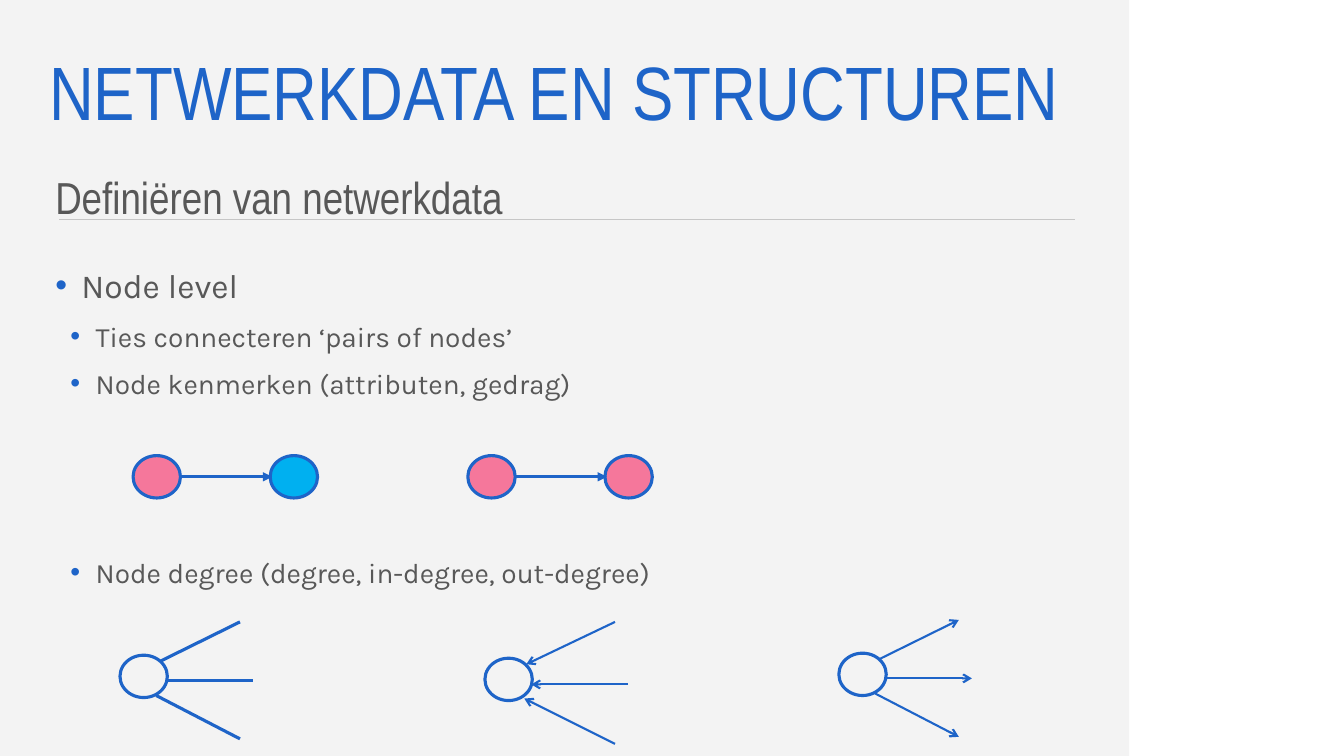
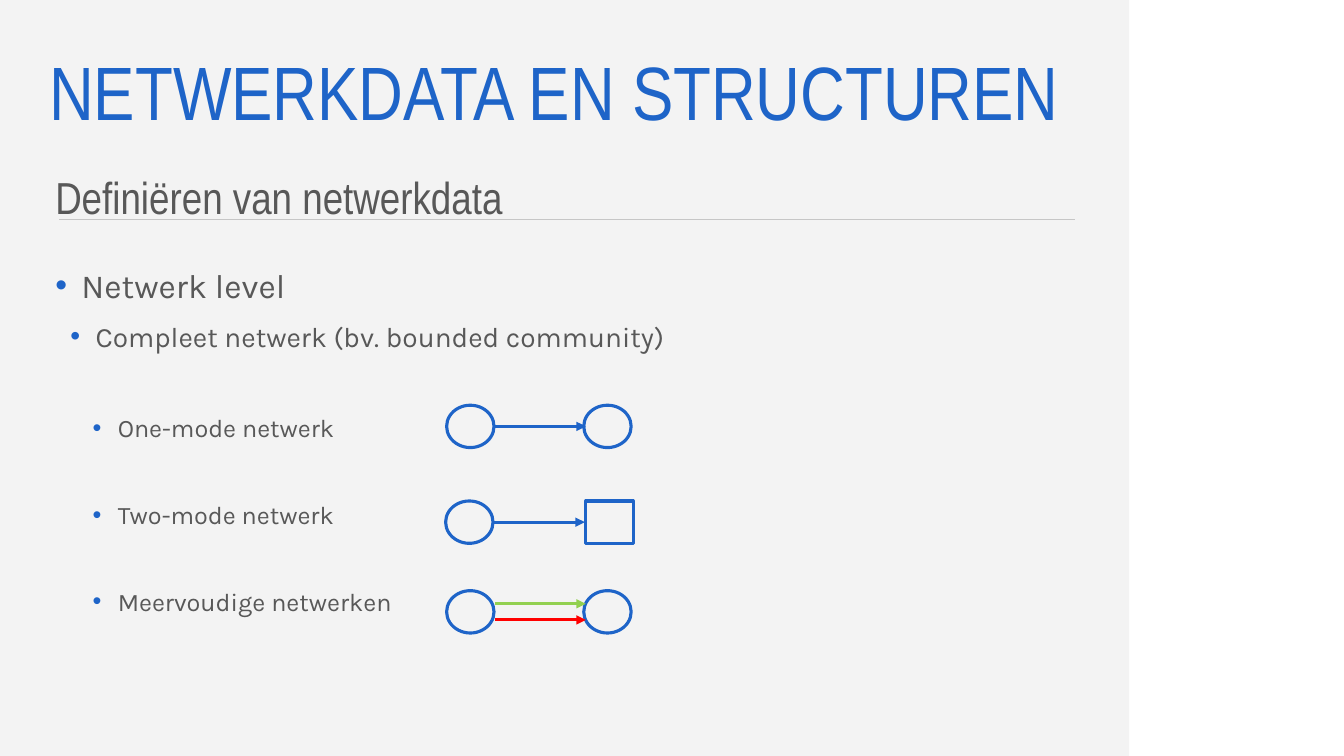
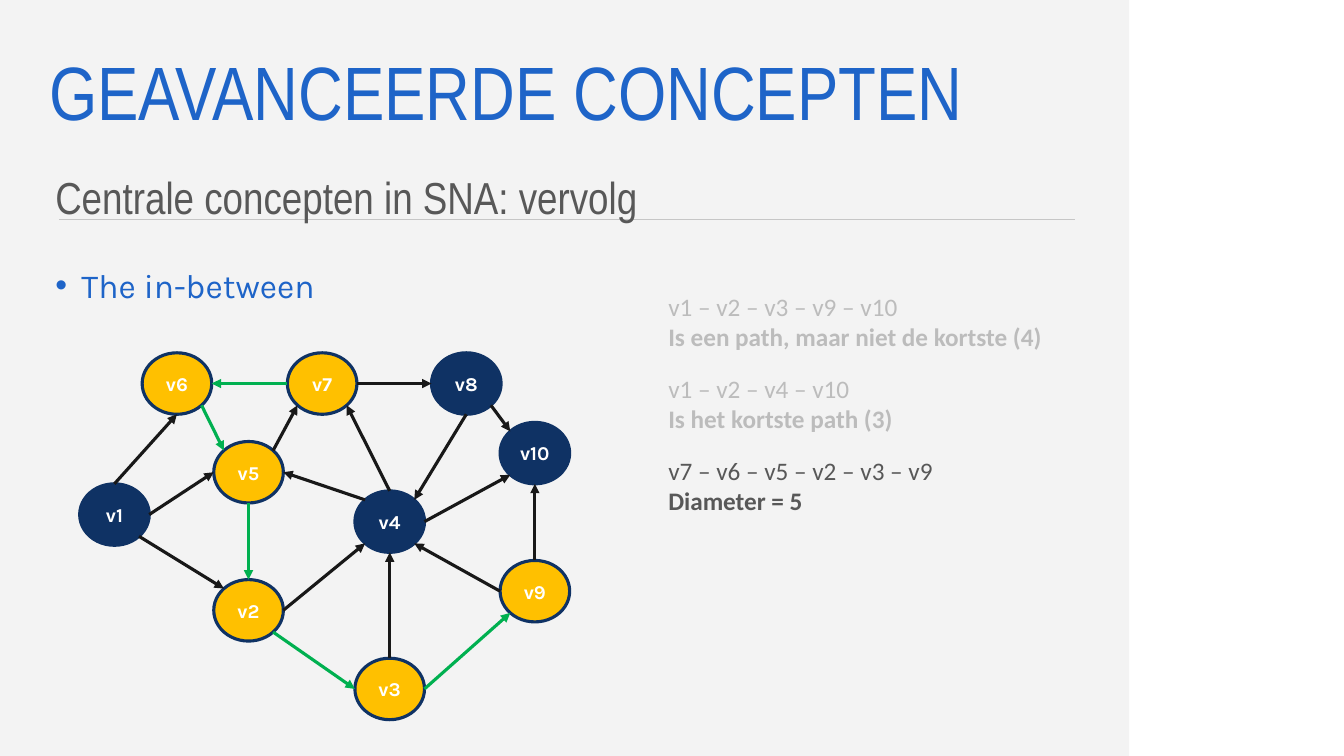
from lxml.etree import SubElement
from pptx import Presentation
from pptx.dml.color import RGBColor
from pptx.enum.shapes import MSO_CONNECTOR, MSO_SHAPE
from pptx.enum.text import MSO_ANCHOR, PP_ALIGN
from pptx.oxml.ns import qn
from pptx.util import Inches, Pt

COLORS = {
    "panel": "F3F3F3", "rule": "C6C6C6", "blue": "1E64C8", "text": "585858",
    "pale": "BCBCBC", "pink": "F5779B", "sky": "00B0F0", "lime": "92D050",
    "red": "FF0000", "gold": "FFC000", "navy": "0F3264", "ink": "181818",
    "green": "00B050", "white": "FFFFFF",
}
HEAD, BODY, NOTE = "Arial Narrow", "Karla", "Calibri"
LEVELS = [(0.26, 0.26, 24), (0.4, 0.25, 20), (0.62, 0.25, 18)]  # margin, hang, size
DOT_W, DOT_H = 0.47, 0.42
NODE_W, NODE_H = 0.69, 0.61
# Each spoke runs from the circle outwards, relative to the circle's corner
OUT = [((0.4, 0.06), (1.19, -0.33)), ((0.47, 0.25), (1.32, 0.25)),
       ((0.36, 0.4), (1.19, 0.83))]
IN = [((0.41, 0.06), (1.29, -0.36)), ((0.46, 0.26), (1.42, 0.26)),
      ((0.39, 0.4), (1.29, 0.85))]
DIAG = 0.5 ** 0.5
SITES = {"n": (0, -1), "s": (0, 1), "w": (-1, 0), "e": (1, 0),
         "nw": (-DIAG, -DIAG), "ne": (DIAG, -DIAG),
         "sw": (-DIAG, DIAG), "se": (DIAG, DIAG)}
NODES = {
    "v1": (0.79, 4.8, "navy"), "v2": (2.12, 5.75, "gold"),
    "v3": (3.52, 6.53, "gold"), "v4": (3.52, 4.87, "navy"),
    "v5": (2.12, 4.38, "gold"), "v6": (1.41, 3.5, "gold"),
    "v7": (2.85, 3.5, "gold"), "v8": (4.28, 3.5, "navy"),
    "v9": (4.96, 5.56, "gold"), "v10": (4.96, 4.19, "navy"),
}
EDGES = {
    "ink": ["v4 n v7 se", "v2 e v4 sw", "v3 n v4 s", "v8 s v4 ne",
            "v9 w v4 se", "v9 n v10 s", "v7 e v8 w", "v1 n v6 s",
            "v1 e v5 w", "v5 ne v7 sw", "v4 nw v5 e", "v1 se v2 nw",
            "v8 se v10 nw", "v4 e v10 sw"],
    "green": ["v2 se v3 w", "v3 e v9 sw", "v7 w v6 e", "v6 se v5 nw",
              "v5 s v2 n"],
}


def color(name):
    return RGBColor.from_string(COLORS[name])


def style(par, face, size, tint, bold=False):
    font = par.font
    font.name, font.size, font.bold = face, Pt(size), bold
    font.color.rgb = color(tint)


def frame(slide, x, y, w, h):
    text = slide.shapes.add_textbox(*map(Inches, (x, y, w, h))).text_frame
    text.word_wrap = True
    return text


def shape(slide, kind, x, y, w, h, fill=None, line=None):
    item = slide.shapes.add_shape(kind, *map(Inches, (x, y, w, h)))
    item.shadow.inherit = False
    if fill:
        item.fill.solid()
        item.fill.fore_color.rgb = color(fill)
    else:
        item.fill.background()
    if line:
        item.line.color.rgb = color(line)
        item.line.width = Pt(2.25)
    else:
        item.line.fill.background()
    return item


def link(slide, start, end, tint="blue", width=2.25, head="triangle"):
    line = slide.shapes.add_connector(
        MSO_CONNECTOR.STRAIGHT, *map(Inches, (*start, *end)))
    line.line.color.rgb = color(tint)
    line.line.width = Pt(width)
    if head:
        SubElement(line.line._get_or_add_ln(), qn("a:tailEnd"), type=head)
    SubElement(line._element.spPr, qn("a:effectLst"))


def base(deck, title, topic):
    """Add a slide with the shared panel, rule and headings."""
    slide = deck.slides.add_slide(deck.slide_layouts[6])
    shape(slide, MSO_SHAPE.RECTANGLE, 0, 0, 11.2, 7.5, "panel")
    link(slide, (0.59, 2.18), (10.66, 2.18), "rule", 0.5, None)
    text = frame(slide, 0.39, 0.36, 10.26, 1.19)
    text.vertical_anchor = MSO_ANCHOR.MIDDLE
    par = text.paragraphs[0]
    par.text, par.line_spacing = title, 0.9
    style(par, HEAD, 54, "blue")
    par = frame(slide, 0.45, 1.53, 10.2, 0.71).paragraphs[0]
    par.text, par.line_spacing = topic, 1.2
    style(par, HEAD, 32, "text")
    return slide


def bullets(slide, items, tint="text"):
    """Fill the body with (level, space before, text) items."""
    text = frame(slide, 0.45, 2.5, 10.2, 4.88)
    for i, (level, gap, words) in enumerate(items):
        par = text.add_paragraph() if i else text.paragraphs[0]
        par.text, par.level, par.line_spacing = words, level, 1.2
        par.space_before = Pt(gap)
        margin, hang, size = LEVELS[level]
        props = par._p.get_or_add_pPr()
        props.set("marL", str(Inches(margin)))
        props.set("indent", str(-Inches(hang)))
        tone = SubElement(props, qn("a:buClr"))
        SubElement(tone, qn("a:srgbClr"), val=COLORS["blue"])
        SubElement(props, qn("a:buFont"), typeface="Arial")
        SubElement(props, qn("a:buChar"), char="•")
        style(par, BODY, size, tint)


def dot(slide, x, y, fill=None, kind=MSO_SHAPE.OVAL):
    shape(slide, kind, x, y, DOT_W, DOT_H, fill, "blue")


def pair(slide, x, y, fills=(None, None), kind=MSO_SHAPE.OVAL, step=1.36,
         ties=((0.21, "blue"),)):
    """Draw two nodes joined by arrows, each tie a (drop, colour)."""
    dot(slide, x, y, fills[0])
    dot(slide, x + step, y, fills[1], kind)
    for drop, tint in ties:
        link(slide, (x + 0.48, y + drop), (x + 1.38, y + drop), tint)


def fan(slide, x, y, spokes, width, head=None, inward=False):
    dot(slide, x, y)
    for spoke in spokes:
        ends = [(x + dx, y + dy) for dx, dy in spoke]
        if inward:
            ends.reverse()
        link(slide, *ends, "blue", width, head)


def site(name, side):
    """Give the point on a node's rim at a compass side."""
    x, y, _ = NODES[name]
    dx, dy = SITES[side]
    return x + NODE_W / 2 * (1 + dx), y + NODE_H / 2 * (1 + dy)


def graph(slide):
    for name, (x, y, fill) in NODES.items():
        node = shape(slide, MSO_SHAPE.OVAL, x, y, NODE_W, NODE_H, fill, "navy")
        text = node.text_frame
        text.margin_left = text.margin_right = 0
        text.margin_top = text.margin_bottom = 0
        text.vertical_anchor = MSO_ANCHOR.MIDDLE
        text.word_wrap = False
        par = text.paragraphs[0]
        par.text, par.alignment = name, PP_ALIGN.CENTER
        style(par, BODY, 14, "white", True)
    for tint, edges in EDGES.items():
        for edge in edges:
            tail, out, head, into = edge.split()
            link(slide, site(tail, out), site(head, into), tint)


def note(slide, y, route, remark, tint):
    text = frame(slide, 6.53, y, 4.13, 0.71)
    text.text = f"{route}\n{remark}"
    for par, bold in zip(text.paragraphs, (False, True)):
        style(par, NOTE, 18, tint, bold)


def nodes(deck):
    slide = base(deck, "NETWERKDATA EN STRUCTUREN", "Definiëren van netwerkdata")
    bullets(slide, [
        (0, 0, "Node level"),
        (1, 5, "Ties connecteren ‘pairs of nodes’"),
        (1, 5, "Node kenmerken (attributen, gedrag)"),
        (1, 106, "Node degree (degree, in-degree, out-degree)"),
    ])
    pair(slide, 1.32, 4.52, ("pink", "sky"))
    pair(slide, 4.64, 4.52, ("pink", "pink"))
    fan(slide, 1.19, 6.5, OUT, 2.25)
    fan(slide, 4.81, 6.53, IN, 1.5, "arrow", True)
    fan(slide, 8.32, 6.48, OUT, 1.5, "arrow")


def modes(deck):
    slide = base(deck, "NETWERKDATA EN STRUCTUREN", "Definiëren van netwerkdata")
    bullets(slide, [
        (0, 0, "Netwerk level"),
        (1, 5, "Compleet netwerk (bv. bounded community)"),
        (2, 38.5, "One-mode netwerk"),
        (2, 36, "Two-mode netwerk"),
        (2, 36, "Meervoudige netwerken"),
    ])
    pair(slide, 4.43, 4.02)
    pair(slide, 4.42, 4.97, kind=MSO_SHAPE.RECTANGLE, step=1.39)
    pair(slide, 4.43, 5.86, ties=((0.13, "lime"), (0.29, "red")))


def paths(deck):
    slide = base(deck, "GEAVANCEERDE CONCEPTEN",
                 "Centrale concepten in SNA: vervolg")
    bullets(slide, [(0, 0, "The in-between")], "blue")
    note(slide, 2.84, "v1 – v2 – v3 – v9 – v10",
         "Is een path, maar niet de kortste (4)", "pale")
    note(slide, 3.65, "v1 – v2 – v4 – v10", "Is het kortste path (3)", "pale")
    note(slide, 4.47, "v7 – v6 – v5 – v2 – v3 – v9", "Diameter = 5", "text")
    graph(slide)


def main():
    deck = Presentation()
    deck.slide_width, deck.slide_height = Inches(13.33), Inches(7.5)
    nodes(deck)
    modes(deck)
    paths(deck)
    deck.save("out.pptx")


if __name__ == "__main__":
    main()
